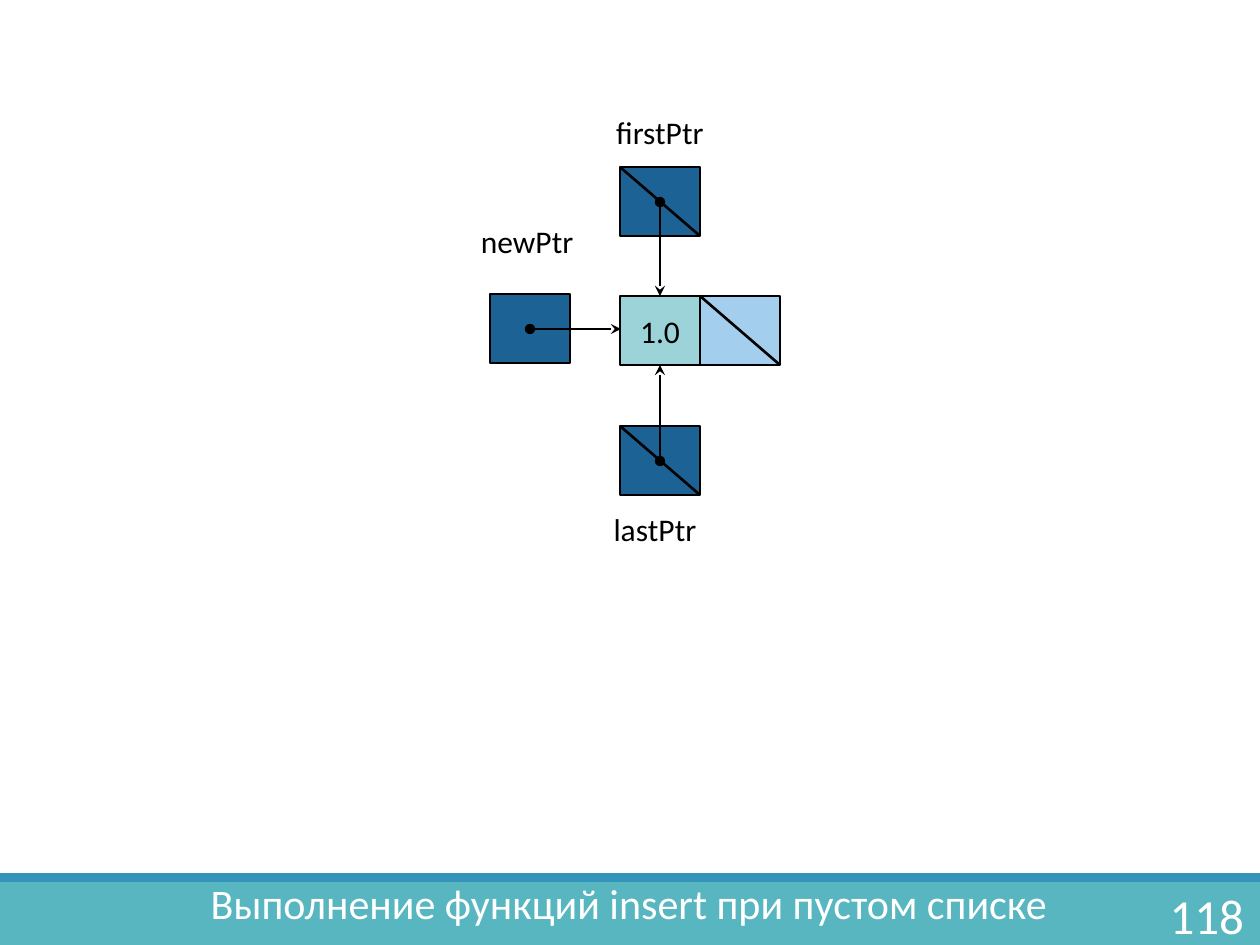
from lxml import etree
from pptx import Presentation
from pptx import util as u
from pptx.dml.color import RGBColor
from pptx.enum import shapes, text
from pptx.oxml.ns import qn

COLORS = {
    "black": "000000", "white": "FFFFFF", "footer": "58B6C0", "stripe": "3494BA",
    "pointer": "1D6294", "value": "9BD3D9", "next": "A3CEED",
}
SCALE = 914400 / 126
CELL_W, CELL_H = 80, 69
LABEL_W = 98
LEFT, CENTER, RIGHT = text.PP_ALIGN.LEFT, text.PP_ALIGN.CENTER, text.PP_ALIGN.RIGHT
TOP, MIDDLE = text.MSO_ANCHOR.TOP, text.MSO_ANCHOR.MIDDLE


def px(*lengths):
    return [u.Emu(round(length * SCALE)) for length in lengths]


def color(name):
    return RGBColor.from_string(COLORS[name])


class ListDiagram:
    font_name = "Calibri"

    def __init__(self, slide):
        self.slide = slide

    def put_words(self, shape, words, size=18, ink="black", align=CENTER, anchor=MIDDLE, inset=0):
        frame = shape.text_frame
        frame.text = words
        frame_format = {
            "word_wrap": True, "auto_size": text.MSO_AUTO_SIZE.NONE, "vertical_anchor": anchor,
            **{f"margin_{side}": px(inset)[0] for side in ("left", "top", "right", "bottom")},
        }
        for name, value in frame_format.items():
            setattr(frame, name, value)
        paragraph = frame.paragraphs[0]
        paragraph.alignment = align
        font = paragraph.runs[0].font
        for name, value in {"name": self.font_name, "size": u.Pt(size)}.items():
            setattr(font, name, value)
        font.color.rgb = color(ink)

    def title(self, words, box):
        title = self.slide.shapes.title
        title.left, title.top, title.width, title.height = px(*box)
        self.put_words(title, words, size=24, ink="white", anchor=TOP)

    def label(self, words, box, **style):
        self.put_words(self.slide.shapes.add_textbox(*px(*box)), words, **style)

    def rectangle(self, box, fill, outlined=True):
        shape = self.slide.shapes.add_shape(shapes.MSO_SHAPE.RECTANGLE, *px(*box))
        shape.shadow.inherit = False
        shape.fill.solid()
        shape.fill.fore_color.rgb = color(fill)
        if outlined:
            shape.line.color.rgb = color("black")
            shape.line.width = u.Pt(1.5)
        else:
            shape.line.fill.background()
        return shape

    def bar(self, box, fill):
        """Band behind the title."""
        band = self.rectangle(box, fill, outlined=False)
        self.slide.shapes.title.element.addprevious(band.element)

    def cell(self, x, y, fill, is_null=False):
        """List cell; a null one is crossed by a diagonal."""
        cell = self.rectangle((x, y, CELL_W, CELL_H), fill)
        if is_null:
            self.line((x, y, x + CELL_W, y + CELL_H), 1.5)
        return cell

    def line(self, ends, width):
        line = self.slide.shapes.add_connector(shapes.MSO_CONNECTOR.STRAIGHT, *px(*ends))
        line.line.color.rgb = color("black")
        line.line.width = u.Pt(width)
        etree.SubElement(line.element.spPr, qn("a:effectLst"))
        return line

    def arrow(self, ends):
        arrow = self.line(ends, 1)
        outline = arrow.element.spPr.find(qn("a:ln"))
        for tag, kind in (("a:headEnd", "oval"), ("a:tailEnd", "stealth")):
            etree.SubElement(outline, qn(tag), type=kind)
        return arrow


def main():
    presentation = Presentation()
    presentation.slide_width, presentation.slide_height = px(1260, 945)
    diagram = ListDiagram(presentation.slides.add_slide(presentation.slide_layouts[5]))

    diagram.bar((0, 882, 1260, 63), "footer")
    diagram.bar((0, 873, 1260, 9), "stripe")
    diagram.title("Выполнение функций insert при пустом списке", (0, 878, 1258, 50))
    diagram.label("118", (1120, 890, 136, 50), size=28, ink="white", align=RIGHT, inset=12)

    node_x, node_y = 620, 296
    middle_x = node_x + CELL_W // 2
    value = diagram.cell(node_x, node_y, "value")
    diagram.put_words(value, "1.0")
    diagram.cell(node_x + CELL_W, node_y, "next", is_null=True)

    # pointer cell top, side of the node it points at, height of that side
    for pointer_y, side, side_y in ((167, 0, node_y), (426, 2, node_y + CELL_H)):
        diagram.cell(node_x, pointer_y, "pointer", is_null=True)
        arrow = diagram.arrow((middle_x, pointer_y + CELL_H // 2 + 1, middle_x, side_y))
        arrow.end_connect(value, side)

    new_x, new_y = 490, 294
    diagram.cell(new_x, new_y, "pointer")
    arrow_y = new_y + CELL_H // 2 + 1
    diagram.arrow((new_x + CELL_W // 2, arrow_y, node_x + 1, arrow_y))

    for words, x, y, align in (
        ("firstPtr", 611, 97, CENTER),
        ("lastPtr", 606, 494, CENTER),
        ("newPtr", 481, 206, LEFT),
    ):
        diagram.label(words, (x, y, LABEL_W, CELL_H), align=align)

    presentation.save("out.pptx")


if __name__ == "__main__":
    main()
